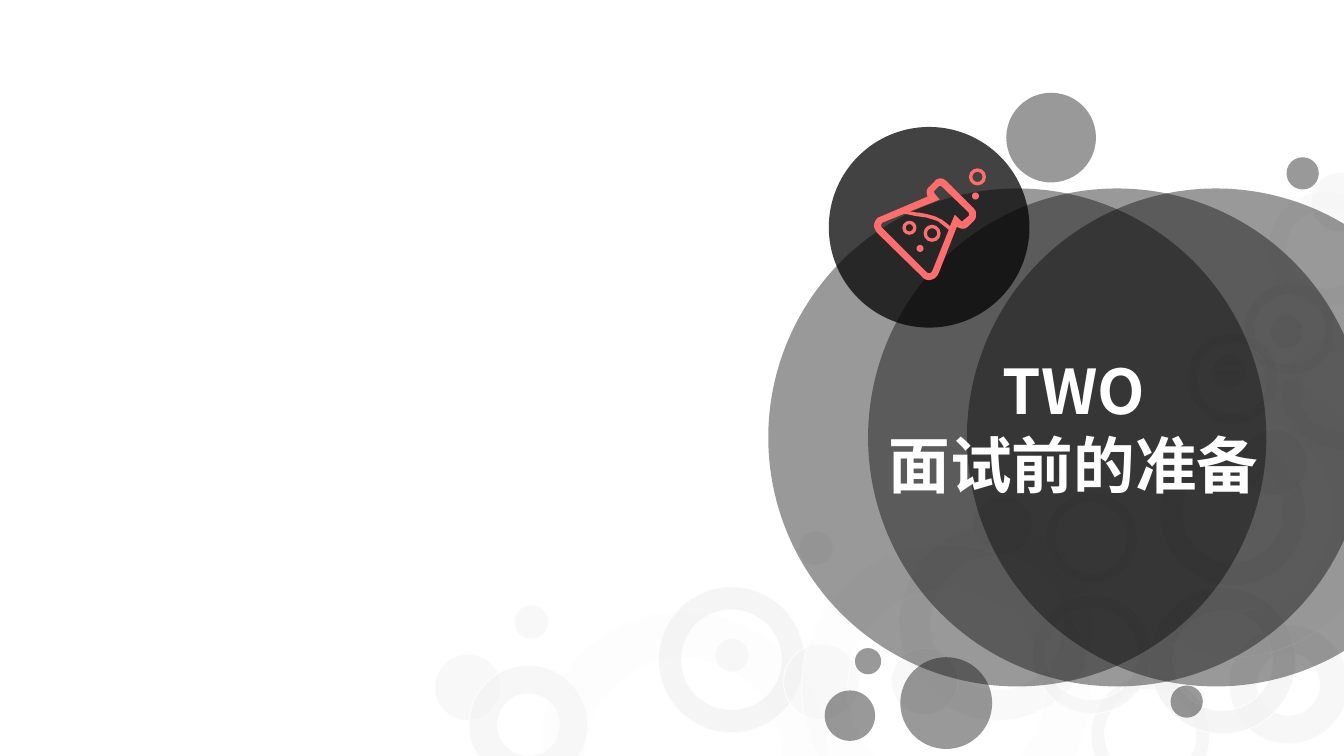
"""Build a section slide with overlapping discs, faint bubbles and a flask icon."""
from lxml import etree
from pptx import Presentation
from pptx.dml.color import RGBColor
from pptx.enum.shapes import MSO_SHAPE
from pptx.enum.text import MSO_AUTO_SIZE, PP_ALIGN
from pptx.oxml.ns import qn
from pptx.util import Inches, Pt

COLUMN = ROW = Inches(0.01)
COLUMNS, ROWS = 1333, 750
WHITE = RGBColor(0xFF, 0xFF, 0xFF)
BLACK = RGBColor(0x00, 0x00, 0x00)
PALE = RGBColor(0xF2, 0xF2, 0xF2)
CORAL = RGBColor(0xFF, 0x6D, 0x6D)


def add_disc(column, row, size, color, opacity=100, ring=0, outlined=False):
    kind = MSO_SHAPE.DONUT if ring else MSO_SHAPE.OVAL
    disc = page.shapes.add_shape(kind, column * COLUMN, row * ROW, size * COLUMN, size * ROW)
    disc.shadow.inherit = False
    if ring:
        disc.adjustments[0] = ring
    disc.fill.solid()
    disc.fill.fore_color.rgb = color
    disc.line.fill.background()
    if outlined:
        disc.line.color.rgb = WHITE
        disc.line.width = Pt(1)
    for tint, share in zip(disc._element.spPr.iter(qn("a:srgbClr")), (opacity, 70)):
        if share < 100:
            etree.SubElement(tint, qn("a:alpha"), val=str(share * 1000))


def add_line_of_text(para, text, font, size, color, bold):
    para.alignment = PP_ALIGN.CENTER
    span = para.add_run()
    span.text = text
    span.font.name = font
    span.font.size = Pt(size)
    span.font.color.rgb = color
    span.font.bold = bold
    etree.SubElement(span.font._element, qn("a:ea"), typeface="Noto Sans CJK SC")


deck = Presentation()
deck.slide_width = COLUMNS * COLUMN
deck.slide_height = ROWS * ROW
page = deck.slides.add_slide(deck.slide_layouts[6])
page.background.fill.solid()
page.background.fill.fore_color.rgb = WHITE

BUBBLE_KINDS = {
    "halo": (287, 13, 0.159),
    "orbit": (194, 42, 0.159),
    "band": (145, 75, 0.159),
    "veil": (114, 31, 0.159),
    "hoop": (118, 54, 0.117),
    "small hoop": (91, 54, 0.117),
    "thick hoop": (118, 54, 0.24),
    "soft ball": (75, 39, 0),
    "ball": (66, 47, 0),
    "drop": (59, 47, 0),
    "dot": (34, 47, 0),
}
bubbles = [
    ("band", 1150, 436), ("veil", 1272, 332), ("halo", 534, 607),
    ("hoop", 1082, 670), ("small hoop", 1234, 281), ("ball", 1231, 426),
    ("dot", 1202, 351), ("orbit", 892, 521), ("band", 653, 582),
    ("soft ball", 777, 639), ("drop", 965, 492), ("halo", 795, 540),
    ("hoop", 1024, 590), ("small hoop", 1037, 488), ("thick hoop", 1219, 620),
    ("dot", 792, 527), ("ball", 431, 649), ("dot", 709, 633),
    ("dot", 1020, 445), ("band", 1140, 583), ("veil", 1258, 190),
    ("drop", 1300, 171), ("halo", 1080, 365), ("small hoop", 1177, 330),
    ("thick hoop", 465, 660), ("dot", 1259, 312), ("ball", 884, 643),
    ("dot", 510, 600),
]
for kind, column, row in bubbles:
    size, opacity, ring = BUBBLE_KINDS[kind]
    add_disc(column, row, size, PALE, opacity, ring, outlined=True)

for column in (959, 762, 861):
    add_disc(column, 187, 494, BLACK, 40)
add_disc(822, 126, 199, BLACK, 74)
for column, row, size in [(998, 92, 89), (1276, 156, 32), (818, 685, 50),
                          (893, 652, 91), (1161, 680, 32), (848, 643, 26)]:
    add_disc(column, row, size, BLACK, 40)

box = page.shapes.add_textbox(870 * COLUMN, 345 * ROW, 390 * COLUMN, 158 * ROW)
frame = box.text_frame
frame.word_wrap = False
frame.auto_size = MSO_AUTO_SIZE.SHAPE_TO_FIT_TEXT
add_line_of_text(frame.paragraphs[0], "TWO", font="Noto Sans CJK SC", size=44, color=WHITE, bold=True)
add_line_of_text(frame.add_paragraph(), "面试前的准备", font="Calibri", size=44, color=WHITE, bold=True)

flask_outline = [
    (939, 180), (937, 178, 935, 177, 933, 177), (930, 177, 928, 178, 927, 180),
    (922, 185), (920, 186, 919, 189, 919, 191), (919, 193, 920, 194, 920, 195),
    (873, 215), (870, 215, 868, 219, 867, 222), (866, 225, 868, 228, 870, 231),
    (914, 274), (916, 277, 919, 278, 922, 278), (927, 277, 930, 274, 931, 271),
    (949, 225), (951, 226, 953, 227, 955, 227), (957, 227, 959, 226, 961, 224),
    (966, 219), (968, 217, 968, 215, 968, 213), (968, 210, 968, 209, 966, 207),
]
liquid = [
    (925, 268), (924, 270, 923, 271, 922, 271), (921, 271, 920, 271, 919, 270),
    (875, 226), (874, 226, 874, 224, 874, 223), (874, 222, 875, 222, 875, 221),
    (897, 212), (912, 217, 927, 212, 941, 228),
]
neck = [
    (961, 214), (955, 219), (955, 220, 954, 220, 953, 219), (947, 213),
    (942, 225), (942, 224), (932, 214, 922, 213, 912, 211),
    (908, 211, 906, 210, 902, 210), (932, 198), (927, 192),
    (926, 191, 926, 190, 927, 189), (931, 185), (932, 184, 933, 184, 934, 185),
    (961, 211), (961, 212, 961, 214, 961, 214),
]
flask_builder = None
for contour in (flask_outline, liquid, neck):
    points = []
    for step in contour:
        if len(step) == 2:
            points.append(step)
            continue
        x0, y0 = points[-1]
        x1, y1, x2, y2, x3, y3 = step
        for t in (0.25, 0.5, 0.75, 1):
            weights = ((1 - t) ** 3, 3 * t * (1 - t) ** 2, 3 * t * t * (1 - t), t ** 3)
            points.append((sum(w * x for w, x in zip(weights, (x0, x1, x2, x3))),
                           sum(w * y for w, y in zip(weights, (y0, y1, y2, y3)))))
    points = [(x * COLUMN, y * ROW) for x, y in points]
    if flask_builder is None:
        flask_builder = page.shapes.build_freeform(*points[0])
    else:
        flask_builder.move_to(*points[0])
    flask_builder.add_line_segments(points[1:], close=True)
flask = flask_builder.convert_to_shape()
flask.shadow.inherit = False
flask.fill.solid()
flask.fill.fore_color.rgb = CORAL
flask.line.fill.background()

for column, row, size, ring in [(916, 223, 17, 0.2), (961, 167, 17, 0.2), (895, 219, 14, 0.24),
                                (909, 243, 7, 0), (964, 191, 7, 0)]:
    add_disc(column, row, size, CORAL, ring=ring)

deck.save("out.pptx")
